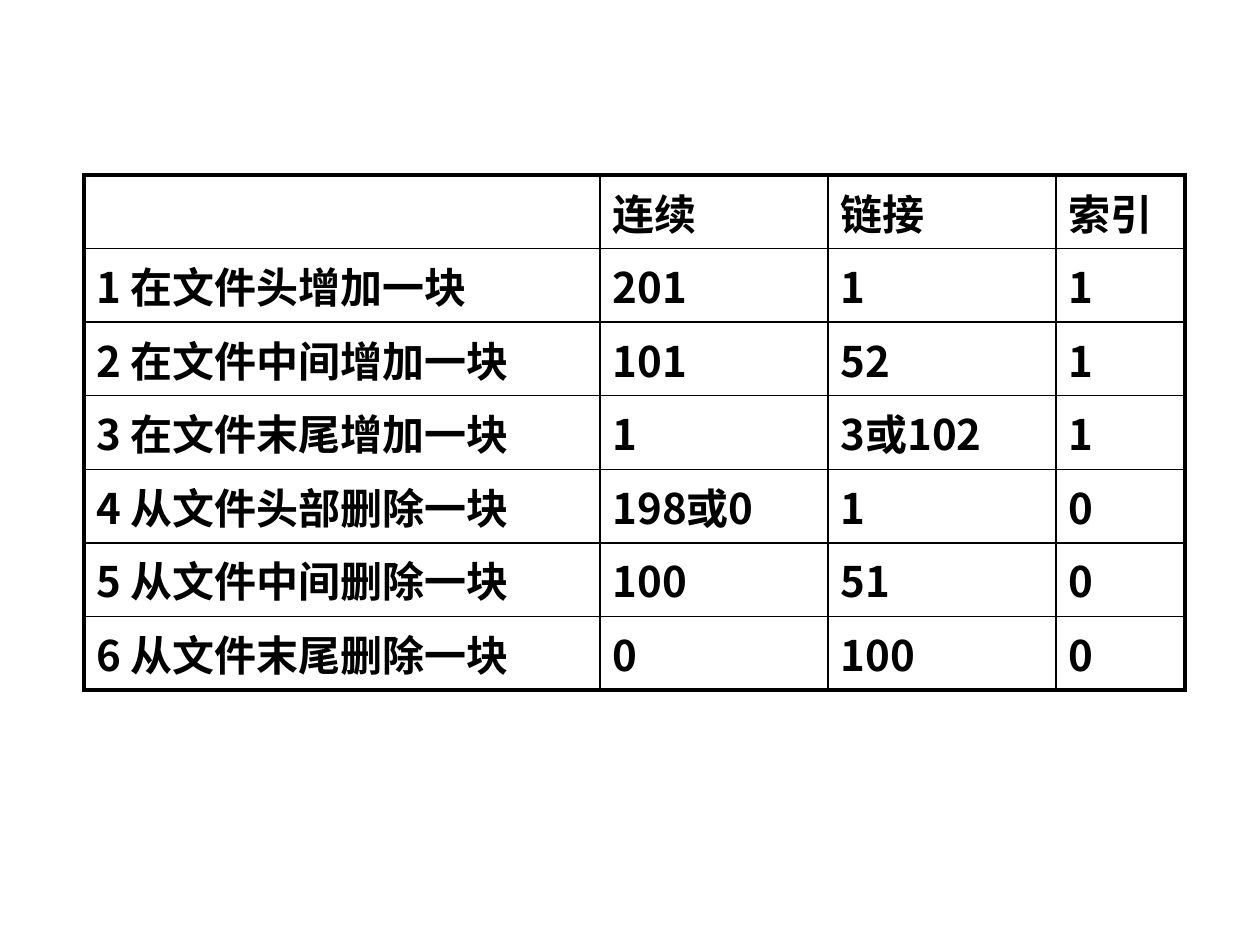
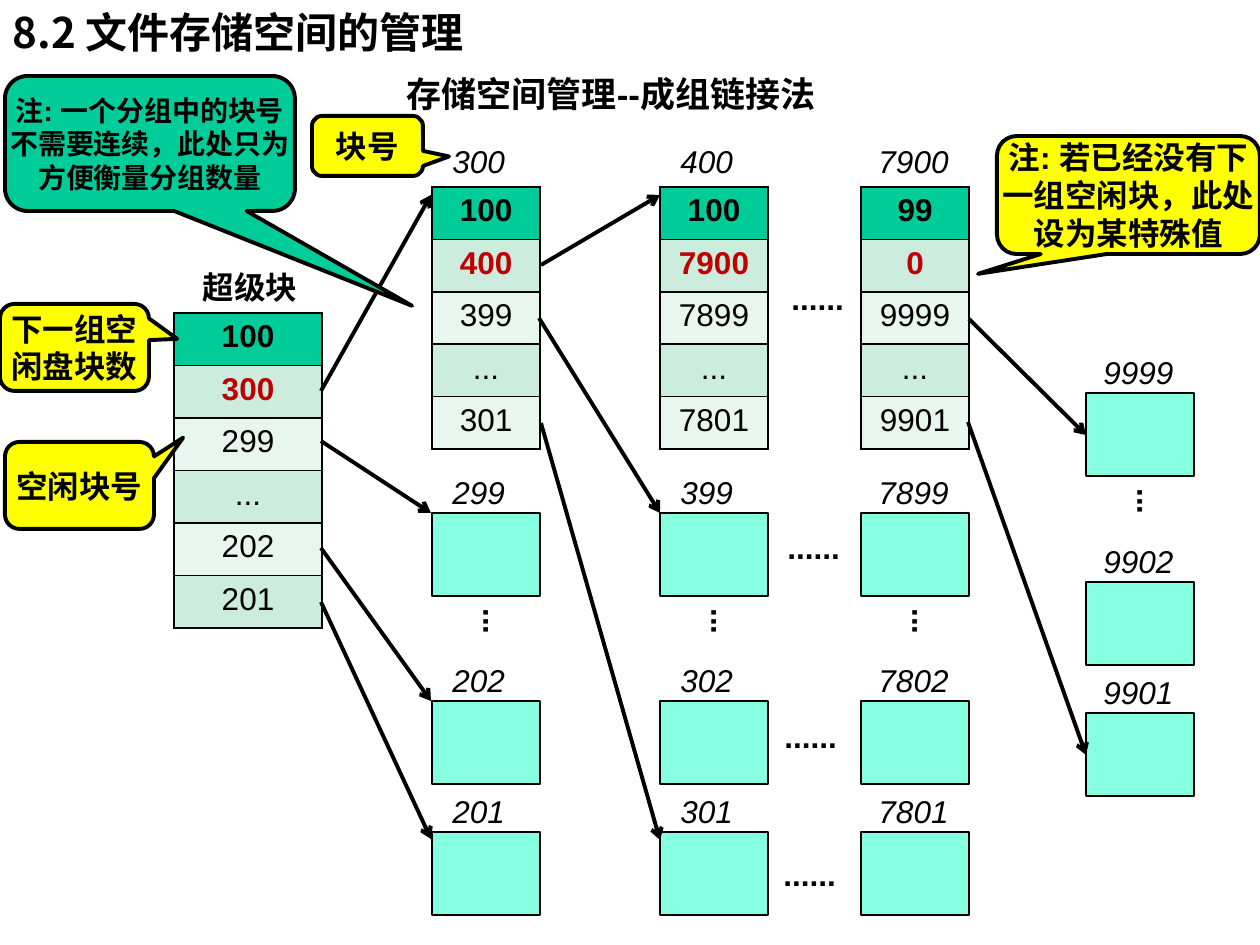
from lxml.etree import SubElement
from pptx import Presentation
from pptx.dml.color import RGBColor
from pptx.enum.shapes import MSO_CONNECTOR, MSO_SHAPE
from pptx.enum.text import MSO_ANCHOR, MSO_AUTO_SIZE, PP_ALIGN
from pptx.oxml import parse_xml
from pptx.oxml.ns import nsdecls, qn
from pptx.util import Pt

PX = 914400 / 126
BLACK = RGBColor(0x00, 0x00, 0x00)
RED = RGBColor(0xC0, 0x00, 0x00)
GREEN = RGBColor(0x00, 0xCC, 0x99)
PALE_GREEN = RGBColor(0xCC, 0xEC, 0xDE)
PALEST_GREEN = RGBColor(0xE7, 0xF6, 0xEF)
AQUA = RGBColor(0x85, 0xFF, 0xE0)
YELLOW = RGBColor(0xFF, 0xFF, 0x00)

HEADING = {"name": "Noto Sans CJK SC", "size": Pt(24), "bold": True, "italic": False}
SUBHEADING = {"name": "Arial", "size": Pt(20), "bold": True, "italic": False}
STRONG = SUBHEADING | {"size": Pt(18)}
PLAIN = STRONG | {"bold": False}
BLOCK_NUMBER = PLAIN | {"italic": True}
SMALL_NOTE = STRONG | {"size": Pt(16)}

BLOCK_WIDTH, BLOCK_HEIGHT, LABEL_HEIGHT = 108, 83, 50
INDEX_TOP = 187

COSTS = [
    ["", "连续", "链接", "索引"],
    ["1 在文件头增加一块", "201", "1", "1"],
    ["2 在文件中间增加一块", "101", "52", "1"],
    ["3 在文件末尾增加一块", "1", "3或102", "1"],
    ["4 从文件头部删除一块", "198或0", "1", "0"],
    ["5 从文件中间删除一块", "100", "51", "0"],
    ["6 从文件末尾删除一块", "0", "100", "0"],
]
COST_WIDTHS = [516, 228, 228, 129]

SUPER_BLOCK = ["100", "300", "299", "...", "202", "201"]
GROUPS = [
    (432, "300", ["100", "400", "399", "...", "301"], ["299", "202", "201"]),
    (660, "400", ["100", "7900", "7899", "...", "7801"], ["399", "302", "301"]),
    (861, "7900", ["99", "0", "9999", "...", "9901"], ["7899", "7802", "7801"]),
]
GROUP_BLOCK_TOPS = [513, 701, 832]
LAST_GROUP = (1086, ["9999", "9902", "9901"], [393, 582, 713])
SKIPPED_GROUPS = [(779, 273), (775, 522), (772, 711), (771, 849)]

POINTERS = [
    (321, 391, 431, 195), (321, 441, 431, 513),
    (321, 548, 431, 701), (321, 602, 431, 839),
    (541, 265, 660, 195), (539, 318, 660, 513), (541, 423, 660, 840),
    (969, 319, 1086, 435), (968, 422, 1086, 755),
]

CALLOUTS = [
    ((0, 304, 149, 87), (0.689, -0.099), YELLOW, STRONG, ["下一组空", "闲盘块数"]),
    ((5, 442, 149, 87), (0.696, -0.55), YELLOW, STRONG, ["空闲块号"]),
    ((312, 116, 111, 60), (0.735, 0.176), YELLOW, STRONG, ["块号"]),
    ((997, 136, 263, 118), (-0.572, 0.668), YELLOW, STRONG,
     ["注: 若已经没有下", "一组空闲块，此处", "设为某特殊值"]),
    ((5, 76, 290, 135), (0.904, 1.203), GREEN, SMALL_NOTE,
     ["注: 一个分组中的块号", "不需要连续，此处只为", "方便衡量分组数量"]),
]


def emu(*lengths):
    return [round(length * PX) for length in lengths]


def write(frame, lines, style, align=PP_ALIGN.CENTER, color=BLACK):
    for index, line in enumerate(lines):
        paragraph = frame.paragraphs[0] if index == 0 else frame.add_paragraph()
        paragraph.alignment = align
        run = paragraph.add_run()
        run.text = line
        for attribute, value in style.items():
            setattr(run.font, attribute, value)
        run.font.color.rgb = color
        SubElement(run.font._element, qn("a:ea"), typeface=style["name"])


def add_label(slide, box, text, style, align=PP_ALIGN.CENTER, rotation=0):
    label = slide.shapes.add_textbox(*emu(*box))
    label.rotation = rotation
    frame = label.text_frame
    frame.word_wrap = True
    frame.auto_size = MSO_AUTO_SIZE.SHAPE_TO_FIT_TEXT
    write(frame, [text], style, align)


def add_filled(slide, kind, box, fill, line_width):
    shape = slide.shapes.add_shape(kind, *emu(*box))
    shape.shadow.inherit = False
    shape.fill.solid()
    shape.fill.fore_color.rgb = fill
    shape.line.color.rgb = BLACK
    shape.line.width = Pt(line_width)
    return shape


def add_callout(slide, box, tip, fill, style, lines):
    callout = add_filled(slide, MSO_SHAPE.ROUNDED_RECTANGULAR_CALLOUT, box, fill, 2.25)
    for index, value in enumerate((*tip, 0.167)):
        callout.adjustments[index] = value
    frame = callout.text_frame
    frame.word_wrap = False
    frame.vertical_anchor = MSO_ANCHOR.MIDDLE
    write(frame, lines, style)


def add_pointer(slide, ends):
    pointer = slide.shapes.add_connector(MSO_CONNECTOR.STRAIGHT, *emu(*ends))
    pointer.line.color.rgb = BLACK
    pointer.line.width = Pt(2.25)
    SubElement(pointer.line._get_or_add_ln(), qn("a:tailEnd"), type="arrow")
    SubElement(pointer._element.spPr, qn("a:effectLst"))


def set_borders(cell, widths):
    properties = cell._tc.get_or_add_tcPr()
    for index, (side, width) in enumerate(zip("LRTB", widths)):
        properties.insert(index, parse_xml(
            f'<a:ln{side} {nsdecls("a")} w="{Pt(width)}"><a:solidFill>'
            f'<a:srgbClr val="{BLACK}"/></a:solidFill></a:ln{side}>'))


def add_grid(slide, rows, box):
    grid = slide.shapes.add_table(len(rows), len(rows[0]), *emu(*box)).table
    grid.first_row = grid.horz_banding = False
    return grid


def add_cost_table(slide):
    table = add_grid(slide, COSTS, (84, 175, sum(COST_WIDTHS), 514))
    for column, width in zip(table.columns, emu(*COST_WIDTHS)):
        column.width = width
    last_row, last_column = len(COSTS) - 1, len(COST_WIDTHS) - 1
    for r, row in enumerate(COSTS):
        for c, text in enumerate(row):
            cell = table.cell(r, c)
            cell.fill.background()
            outer = (c == 0, c == last_column, r == 0, r == last_row)
            set_borders(cell, [2.25 if edge else 1 for edge in outer])
            if text:
                write(cell.text_frame, [text], HEADING, PP_ALIGN.LEFT)


def add_index_block(slide, box, entries):
    table = add_grid(slide, [[entry] for entry in entries], box)
    for r, entry in enumerate(entries):
        cell = table.cell(r, 0)
        cell.fill.solid()
        cell.fill.fore_color.rgb = GREEN if r == 0 else (PALEST_GREEN, PALE_GREEN)[r % 2]
        set_borders(cell, [1] * 4)
        write(cell.text_frame, [entry], STRONG if r < 2 else PLAIN,
              color=RED if r == 1 else BLACK)


def add_block_number(slide, left, top, number):
    width = 93 if len(number) == 3 else 105
    add_label(slide, (left, top, width, LABEL_HEIGHT), number, BLOCK_NUMBER)


def add_free_blocks(slide, left, numbers, tops):
    for number, top in zip(numbers, tops):
        add_block_number(slide, left, top - 46, number)
        add_filled(slide, MSO_SHAPE.RECTANGLE,
                   (left, top, BLOCK_WIDTH, BLOCK_HEIGHT), AQUA, 0.75)
    add_label(slide, (left + 34, tops[0] + 88, 60, LABEL_HEIGHT), "...", STRONG,
              PP_ALIGN.LEFT, 90)


def add_title(slide, text):
    title = slide.shapes.title
    title.left, title.top, title.width, title.height = emu(0, 0, 1260, 63)
    frame = title.text_frame
    frame.auto_size = MSO_AUTO_SIZE.NONE
    frame.vertical_anchor = MSO_ANCHOR.MIDDLE
    write(frame, [text], HEADING, PP_ALIGN.LEFT)


def build_grouped_linking(slide):
    add_title(slide, "8.2 文件存储空间的管理")
    add_label(slide, (379, 66, 464, 55), "存储空间管理--成组链接法", SUBHEADING)
    add_label(slide, (174, 262, 152, LABEL_HEIGHT), "超级块", STRONG)
    add_index_block(slide, (174, 313, 148, 315), SUPER_BLOCK)
    for left, number, entries, free_blocks in GROUPS:
        add_block_number(slide, left, INDEX_TOP - 51, number)
        add_index_block(slide, (left, INDEX_TOP, BLOCK_WIDTH, 262), entries)
        add_free_blocks(slide, left, free_blocks, GROUP_BLOCK_TOPS)
    add_free_blocks(slide, *LAST_GROUP)
    for left, top in SKIPPED_GROUPS:
        add_label(slide, (left, top, 82, LABEL_HEIGHT), "......", STRONG, PP_ALIGN.LEFT)
    for ends in POINTERS:
        add_pointer(slide, ends)
    for callout in CALLOUTS:
        add_callout(slide, *callout)


def main():
    presentation = Presentation()
    presentation.slide_width, presentation.slide_height = emu(1260, 945)
    title_only, blank = presentation.slide_layouts[5], presentation.slide_layouts[6]
    add_cost_table(presentation.slides.add_slide(blank))
    build_grouped_linking(presentation.slides.add_slide(title_only))
    presentation.save("out.pptx")


if __name__ == "__main__":
    main()
